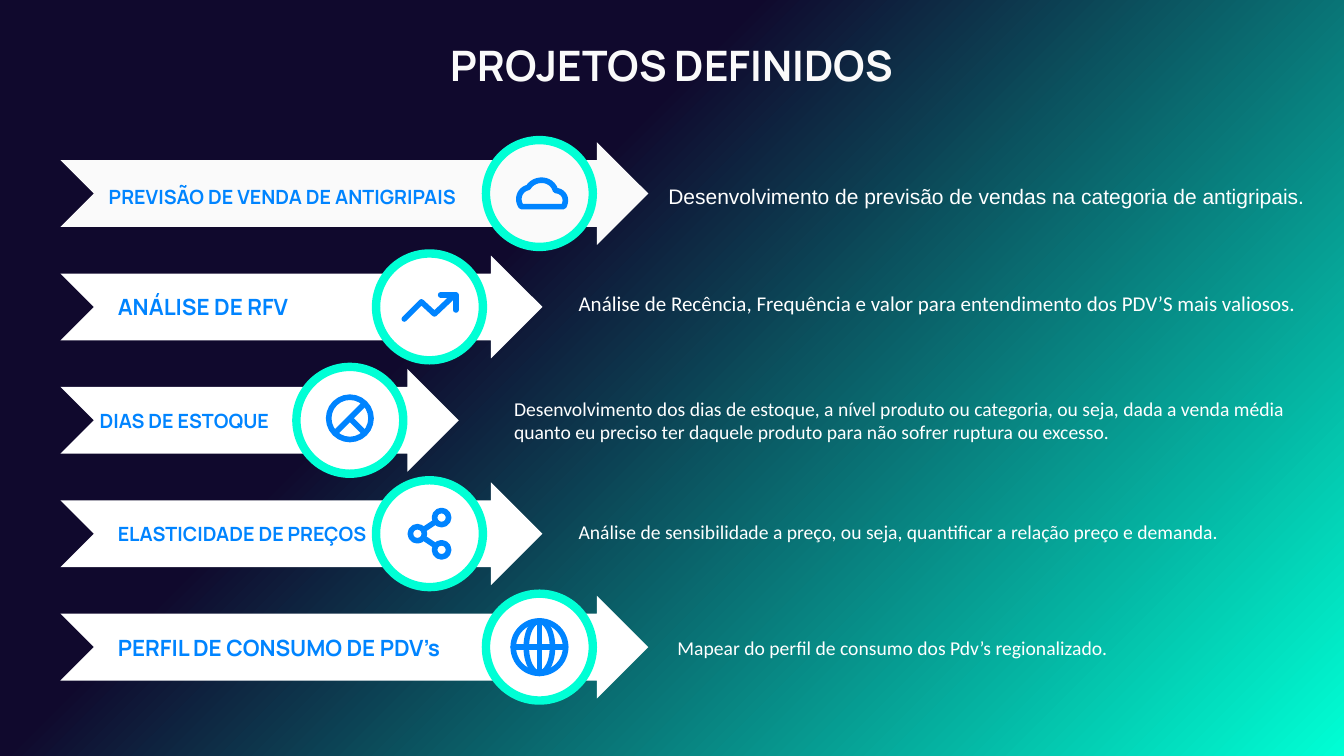
from copy import deepcopy
from pptx import Presentation
from pptx.dml.color import RGBColor
from pptx.enum.shapes import MSO_SHAPE
from pptx.enum.text import MSO_ANCHOR, MSO_AUTO_SIZE, PP_ALIGN
from pptx.oxml.ns import qn
from pptx.util import Inches, Pt

NAVY = RGBColor(0x10, 0x09, 0x2D)
MINT = RGBColor(0x00, 0xFF, 0xD5)
BLUE = RGBColor(0x00, 0x84, 0xFF)
PALE = RGBColor(0xFA, 0xFA, 0xFA)
WHITE = RGBColor(0xFF, 0xFF, 0xFF)

WIDE, TALL = 13.33, 7.5
LEFT, TOP, STEP = 0.6, 1.92, 1.125
HEAD, DISC = 1.02, 1.06

TITLE = "PROJETOS DEFINIDOS"
LONG, MID, SHORT = (5.83, 5.35), (4.78, 4.26), (3.95, 3.47)

ROWS = [
    {"size": LONG, "fill": PALE, "icon": "cloud",
     "label": ("PREVISÃO DE VENDA DE ANTIGRIPAIS", 0.98, 3.78, 14, 0.03),
     "note": ("Desenvolvimento de previsão de vendas na categoria de antigripais.",
              6.53, 6.75, 0.35, 15, "Arial", 0.03)},
    {"size": MID, "fill": WHITE, "icon": "trend",
     "label": ("ANÁLISE DE RFV", 1.07, 1.94, 16, 0),
     "note": ("Análise de Recência, Frequência e valor para entendimento dos PDV’S mais valiosos.",
              5.64, 7.65, 0.35, 15, "Calibri", -0.04)},
    {"size": SHORT, "fill": WHITE, "icon": "pill",
     "label": ("DIAS DE ESTOQUE", 0.89, 1.9, 14, 0),
     "note": ("Desenvolvimento dos dias de estoque, a nível produto ou categoria, ou seja, dada a venda média quanto eu preciso ter daquele produto para não sofrer ruptura ou excesso.",
              5, 8.03, 0.57, 14, "Calibri", 0)},
    {"size": MID, "fill": WHITE, "icon": "share",
     "label": ("ELASTICIDADE DE PREÇOS", 1.07, 2.7, 14, 0),
     "note": ("Análise de sensibilidade a preço, ou seja, quantificar a relação preço e demanda.",
              5.64, 7.65, 0.34, 14, "Calibri", -0.02)},
    {"size": LONG, "fill": WHITE, "icon": "globe",
     "label": ("PERFIL DE CONSUMO DE PDV’s", 1.07, 3.52, 16, 0),
     "note": ("Mapear do perfil de consumo dos Pdv’s regionalizado.",
              6.62, 6.65, 0.34, 14, "Calibri", 0.01)},
]


def bend(a, b, c, d, count=12):
    spots = []
    for i in range(count + 1):
        t = i / count
        u = 1 - t
        spots.append(tuple(u**3 * p + 3 * u * u * t * q + 3 * u * t * t * r + t**3 * s
                           for p, q, r, s in zip(a, b, c, d)))
    return spots


CLOUD = (
    bend((-0.18, 0.13), (-0.23, 0.06), (-0.2, -0.04), (-0.11, -0.06))
    + bend((-0.11, -0.06), (-0.05, -0.16), (0.12, -0.16), (0.16, -0.03))[1:]
    + bend((0.16, -0.03), (0.25, -0.02), (0.28, 0.06), (0.24, 0.13))[1:]
    + [(-0.18, 0.13)]
)

ICONS = {
    "cloud": ([], [CLOUD]),
    "trend": ([], [[(-0.25, 0.12), (-0.08, -0.05), (0.05, 0.07), (0.25, -0.12)],
                   [(0.11, -0.12), (0.26, -0.12), (0.26, 0.03)]]),
    "pill": ([(0, -0.02, 0.21, 0.21)],
             [[(-0.14, 0.12), (0.14, -0.16)], [(0.01, -0.01), (0.14, 0.12)]]),
    "share": ([(0.12, -0.16, 0.07, 0.07), (-0.12, 0, 0.07, 0.07), (0.12, 0.16, 0.07, 0.07)],
              [[(-0.06, -0.04), (0.06, -0.12)], [(-0.06, 0.04), (0.06, 0.12)]]),
    "globe": ([(0, 0, 0.26, 0.26), (0, 0, 0.13, 0.26)],
              [[(-0.26, 0), (0.26, 0)], [(0, -0.26), (0, 0.26)]]),
}

deck = Presentation()
deck.slide_width, deck.slide_height = Inches(WIDE), Inches(TALL)
slide = deck.slides.add_slide(deck.slide_layouts[6])


def paint():
    fill = slide.background.fill
    fill.gradient()
    fill.gradient_angle = 315
    stops = slide.element.find(".//" + qn("a:gsLst"))
    stops.insert(1, deepcopy(stops[0]))
    for stop, spot, tone in zip(fill.gradient_stops, (0, 0.36, 1), (NAVY, NAVY, MINT)):
        stop.position = spot
        stop.color.rgb = tone


def shape(kind, x, y, w, h, fill=None, line=None, width=4):
    form = slide.shapes.add_shape(kind, Inches(x), Inches(y), Inches(w), Inches(h))
    style(form, fill, line, width)
    return form


def style(form, fill, line, width):
    form.shadow.inherit = False
    if fill is None:
        form.fill.background()
    else:
        form.fill.solid()
        form.fill.fore_color.rgb = fill
    if line is None:
        form.line.fill.background()
    else:
        form.line.color.rgb = line
        form.line.width = Pt(width)


def text(words, x, mid, w, h, size, font, tone, bold=False, wrap=True, align=PP_ALIGN.LEFT):
    box = slide.shapes.add_textbox(Inches(x), Inches(mid - h / 2), Inches(w), Inches(h))
    frame = box.text_frame
    frame.text = words
    frame.word_wrap = wrap
    frame.auto_size = MSO_AUTO_SIZE.SHAPE_TO_FIT_TEXT
    frame.vertical_anchor = MSO_ANCHOR.MIDDLE
    para = frame.paragraphs[0]
    para.alignment = align
    face = para.runs[0].font
    face.name, face.size, face.bold = font, Pt(size), bold
    face.color.rgb = tone


def draw(icon, x, y):
    rings, lines = ICONS[icon]
    for dx, dy, rx, ry in rings:
        shape(MSO_SHAPE.OVAL, x + dx - rx, y + dy - ry, 2 * rx, 2 * ry, line=BLUE)
    for line in lines:
        spots = [(Inches(x + dx), Inches(y + dy)) for dx, dy in line]
        pen = slide.shapes.build_freeform(*spots[0])
        pen.add_line_segments(spots[1:], close=line[0] == line[-1])
        form = pen.convert_to_shape()
        style(form, None, BLUE, 4)
        edge = form.line._get_or_add_ln()
        edge.set("cap", "rnd")
        edge.append(edge.makeelement(qn("a:round"), {}))


paint()
text(TITLE, 4.32, 0.64, 4.69, 0.61, 30, "Manrope", PALE, True, False, PP_ALIGN.CENTER)
for i, row in enumerate(ROWS):
    mid = TOP + i * STEP
    span, hub = row["size"]
    arrow = shape(MSO_SHAPE.NOTCHED_RIGHT_ARROW, LEFT, mid - HEAD / 2, span, HEAD, row["fill"])
    arrow.adjustments[0], arrow.adjustments[1] = 0.65, 0.5
    shape(MSO_SHAPE.OVAL, hub - DISC / 2, mid - DISC / 2, DISC, DISC, row["fill"], MINT, 6)
    words, x, w, size, drop = row["label"]
    text(words, x, mid + drop, w, 0.34, size, "Manrope", BLUE, True, False)
    draw(row["icon"], hub, mid)
    words, x, w, h, size, font, drop = row["note"]
    text(words, x, mid + drop, w, h, size, font, WHITE)

deck.save("out.pptx")
